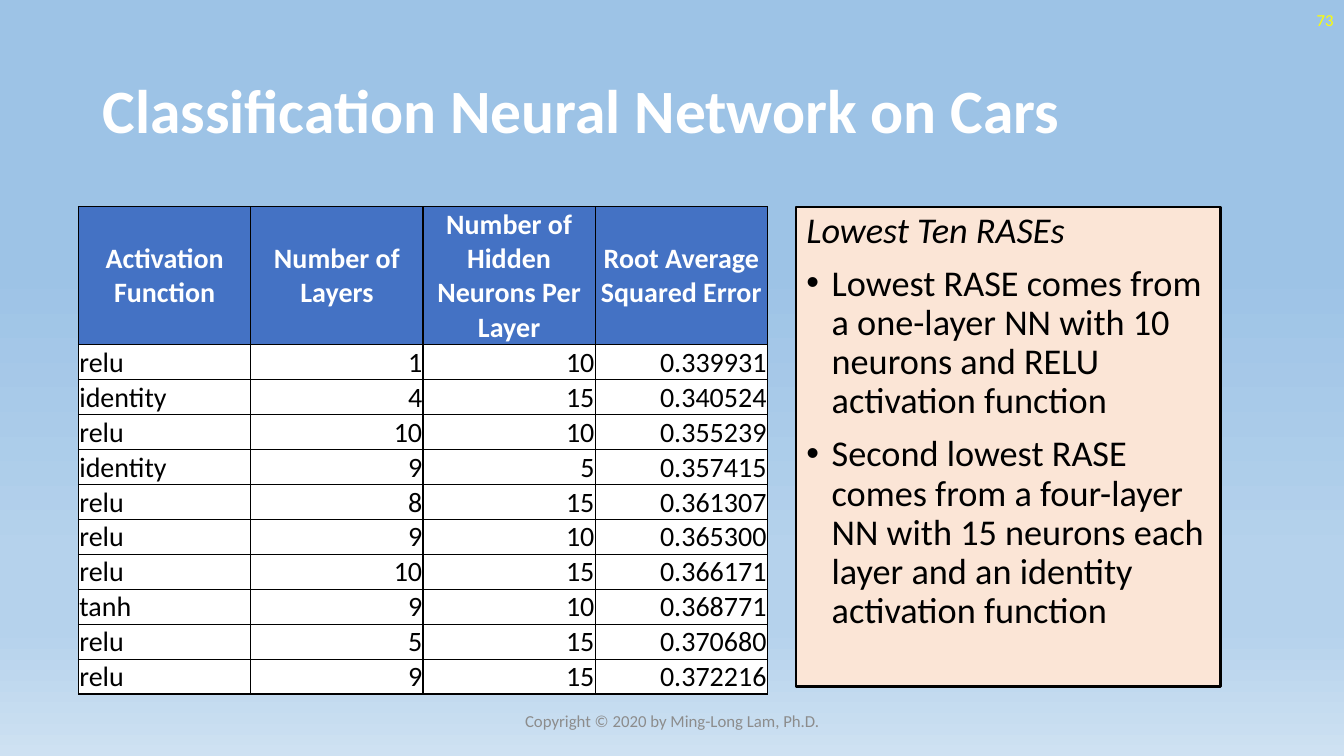
"""Build the slide on classification neural networks for the cars data."""
from dataclasses import dataclass

from lxml import etree
from pptx import Presentation
from pptx.dml.color import RGBColor
from pptx.enum.shapes import MSO_SHAPE
from pptx.enum.text import MSO_ANCHOR, MSO_AUTO_SIZE, PP_ALIGN
from pptx.oxml.ns import qn
from pptx.util import Cm, Pt

RECTANGLE = MSO_SHAPE.RECTANGLE
LEFT, CENTER, RIGHT = PP_ALIGN.LEFT, PP_ALIGN.CENTER, PP_ALIGN.RIGHT
TOP, MIDDLE, BOTTOM = MSO_ANCHOR.TOP, MSO_ANCHOR.MIDDLE, MSO_ANCHOR.BOTTOM
NO_FIT = MSO_AUTO_SIZE.NONE

TITLE = "Classification Neural Network on Cars"
PAGE_NUMBER = "73"
COPYRIGHT = "Copyright © 2020 by Ming-Long Lam, Ph.D."
HEADINGS = (
    "Activation Function",
    "Number of Layers",
    "Number of Hidden Neurons Per Layer",
    "Root Average Squared Error",
)
NETWORKS = [
    ("relu", "1", "10", "0.339931"),
    ("identity", "4", "15", "0.340524"),
    ("relu", "10", "10", "0.355239"),
    ("identity", "9", "5", "0.357415"),
    ("relu", "8", "15", "0.361307"),
    ("relu", "9", "10", "0.365300"),
    ("relu", "10", "15", "0.366171"),
    ("tanh", "9", "10", "0.368771"),
    ("relu", "5", "15", "0.370680"),
    ("relu", "9", "15", "0.372216"),
]
FINDINGS_HEADING = "Lowest Ten RASEs"
FINDINGS = [
    "Lowest RASE comes from a one-layer NN with 10 neurons and RELU activation function",
    "Second lowest RASE comes from a four-layer NN with 15 neurons each layer and an identity activation function",
]


@dataclass(frozen=True)
class Theme:
    """Colours and type sizes of the slide."""

    font: str = "Calibri"
    white: str = "FFFFFF"
    black: str = "000000"
    number: str = "FFFF00"
    copyright: str = "8C8C8C"
    header: str = "4472C4"
    findings: str = "FBE5D6"
    sky: tuple = ((35, "9DC3E6"), (74, "B5D2EC"), (83, "B5D2EC"), (100, "CEE1F2"))
    title_size: float = 44
    findings_size: float = 25.9
    table_size: float = 20
    small_size: float = 12


THEME = Theme()
SLIDE_WIDTH, SLIDE_HEIGHT = Cm(33.87), Cm(19.05)
TITLE_AREA = Cm(2.33), Cm(1.01), Cm(29.21), Cm(3.68)
NUMBER_AREA = Cm(26.24), Cm(0), Cm(7.62), Cm(1.02)
COPYRIGHT_AREA = Cm(11.23), Cm(17.65), Cm(11.43), Cm(1.02)
FINDINGS_AREA = Cm(20.07), Cm(5.21), Cm(10.69), Cm(12.09)
TABLE_LEFT, TABLE_TOP, COLUMN_WIDTH = Cm(1.98), Cm(5.21), Cm(4.34)
HEADER_HEIGHT, ROW_HEIGHT = Cm(3.48), Cm(0.88)
CELL_INSET, BULLET_INDENT = Cm(0.02), Cm(0.64)


def style(paragraph, size, color, align=LEFT, bold=False, italic=False):
    """Set the alignment and font of a paragraph."""
    paragraph.alignment = align
    font = paragraph.font
    font.name, font.size, font.bold, font.italic = THEME.font, Pt(size), bold, italic
    font.color.rgb = RGBColor.from_string(color)


def paint_background(slide):
    """Fill the background with the sky gradient, from top to bottom."""
    fill = slide.background.fill
    fill.gradient()
    fill.gradient_angle = 270
    stops = slide.element.find(".//" + qn("a:gsLst"))
    for stop in list(stops):
        stops.remove(stop)
    for position, color in THEME.sky:
        stop = etree.SubElement(stops, qn("a:gs"), pos=str(position * 1000))
        etree.SubElement(stop, qn("a:srgbClr"), val=color)


def add_title(slide):
    """Place and format the title."""
    title = slide.shapes.title
    title.left, title.top, title.width, title.height = TITLE_AREA
    frame = title.text_frame
    frame.text = TITLE
    frame.auto_size, frame.vertical_anchor = NO_FIT, MIDDLE
    frame.paragraphs[0].line_spacing = 0.9
    style(frame.paragraphs[0], THEME.title_size, THEME.white, bold=True)


def add_small_print(slide, text, area, color, align):
    """Add a line of small text."""
    frame = slide.shapes.add_textbox(*area).text_frame
    frame.text = text
    frame.word_wrap, frame.vertical_anchor = True, MIDDLE
    style(frame.paragraphs[0], THEME.small_size, color, align)


def add_borders(cell):
    """Draw a thin line on each side of a cell."""
    properties = cell._tc.get_or_add_tcPr()
    for index, side in enumerate(("a:lnL", "a:lnR", "a:lnT", "a:lnB")):
        line = etree.Element(qn(side), w=str(Pt(1)))
        solid = etree.SubElement(line, qn("a:solidFill"))
        etree.SubElement(solid, qn("a:srgbClr"), val=THEME.black)
        properties.insert(index, line)


def add_networks(slide):
    """Add the table of networks with the lowest errors."""
    rows = [HEADINGS, *NETWORKS]
    width = COLUMN_WIDTH * len(HEADINGS)
    height = HEADER_HEIGHT + ROW_HEIGHT * len(NETWORKS)
    table = slide.shapes.add_table(
        len(rows), len(HEADINGS), TABLE_LEFT, TABLE_TOP, width, height
    ).table
    for column in table.columns:
        column.width = COLUMN_WIDTH
    for row, values in enumerate(rows):
        heading = row == 0
        table.rows[row].height = HEADER_HEIGHT if heading else ROW_HEIGHT
        for column, value in enumerate(values):
            cell = table.cell(row, column)
            cell.text = value
            cell.margin_left = cell.margin_right = cell.margin_top = CELL_INSET
            cell.margin_bottom = 0
            cell.vertical_anchor = MIDDLE if heading else BOTTOM
            cell.fill.solid()
            cell.fill.fore_color.rgb = RGBColor.from_string(
                THEME.header if heading else THEME.white
            )
            add_borders(cell)
            align = CENTER if heading else RIGHT if column else LEFT
            color = THEME.white if heading else THEME.black
            style(cell.text_frame.paragraphs[0], THEME.table_size, color, align, heading)


def add_findings(slide):
    """Add the box of findings beside the table."""
    box = slide.shapes.add_shape(RECTANGLE, *FINDINGS_AREA)
    box.shadow.inherit = False
    box.fill.solid()
    box.fill.fore_color.rgb = RGBColor.from_string(THEME.findings)
    box.line.color.rgb = RGBColor.from_string(THEME.black)
    box.line.width = Pt(1.5)
    frame = box.text_frame
    frame.word_wrap, frame.vertical_anchor = True, TOP
    frame.text = "\n".join([FINDINGS_HEADING, *FINDINGS])
    for index, paragraph in enumerate(frame.paragraphs):
        paragraph.line_spacing = 0.9
        if index:
            paragraph.space_before = Pt(10)
            properties = paragraph._p.get_or_add_pPr()
            properties.set("marL", str(BULLET_INDENT))
            properties.set("indent", str(-BULLET_INDENT))
            etree.SubElement(properties, qn("a:buFont"), typeface="Arial")
            etree.SubElement(properties, qn("a:buChar"), char="•")
        style(paragraph, THEME.findings_size, THEME.black, italic=index == 0)


def main():
    """Build and save the presentation."""
    presentation = Presentation()
    presentation.slide_width, presentation.slide_height = SLIDE_WIDTH, SLIDE_HEIGHT
    slide = presentation.slides.add_slide(presentation.slide_layouts.get_by_name("Title Only"))
    paint_background(slide)
    add_title(slide)
    add_small_print(slide, PAGE_NUMBER, NUMBER_AREA, THEME.number, RIGHT)
    add_small_print(slide, COPYRIGHT, COPYRIGHT_AREA, THEME.copyright, CENTER)
    add_findings(slide)
    add_networks(slide)
    presentation.save("out.pptx")


if __name__ == "__main__":
    main()
